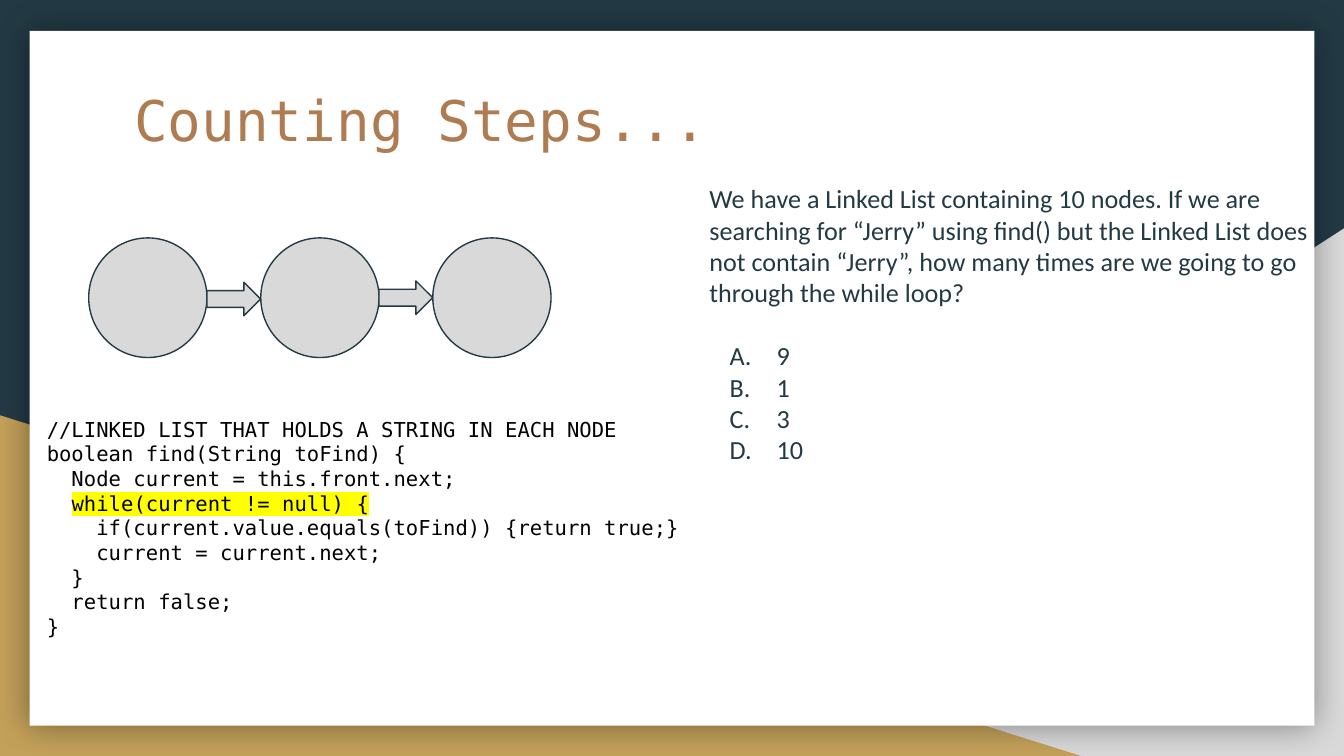
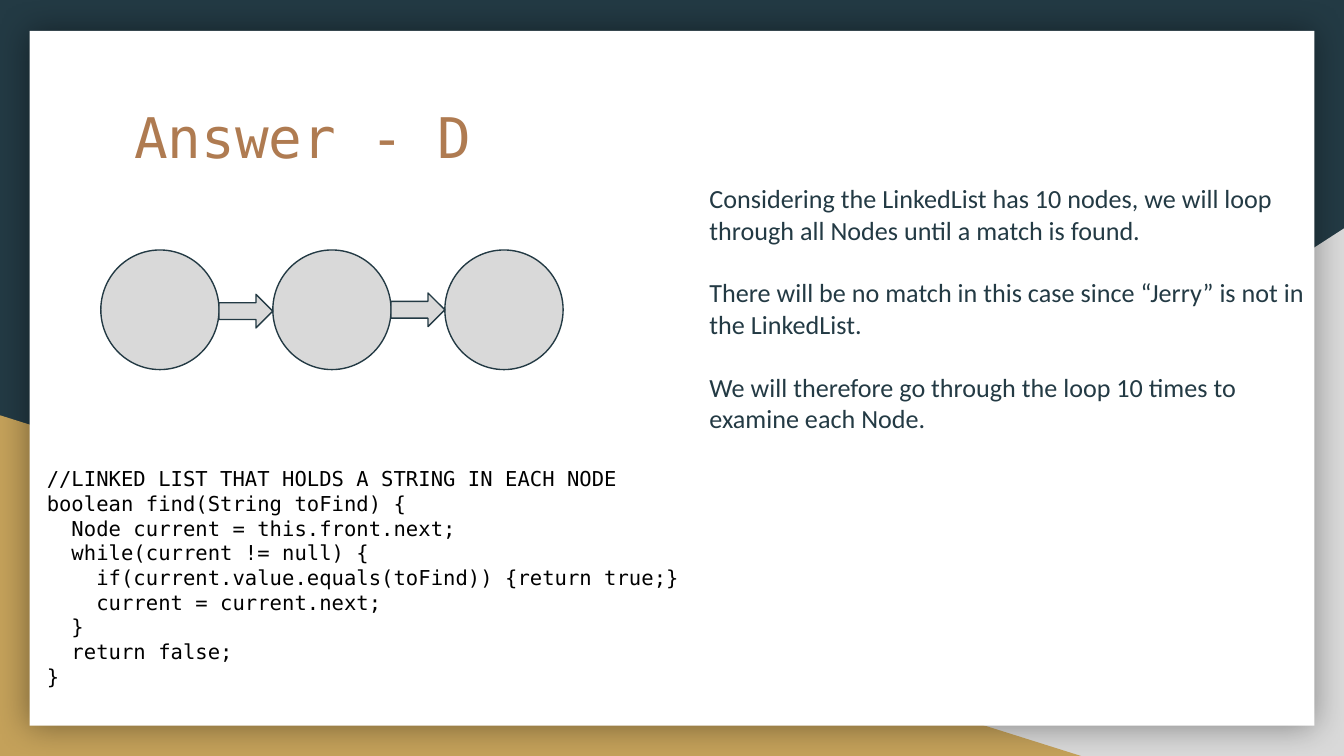
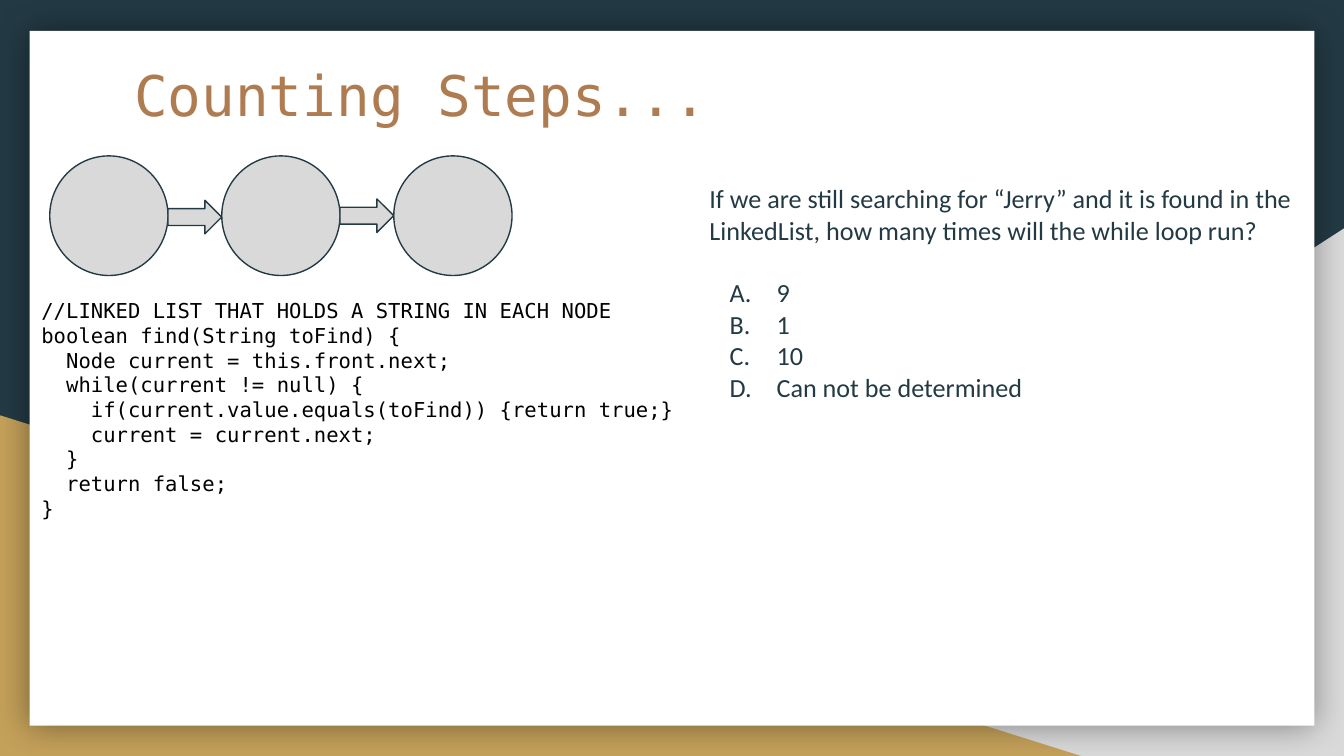
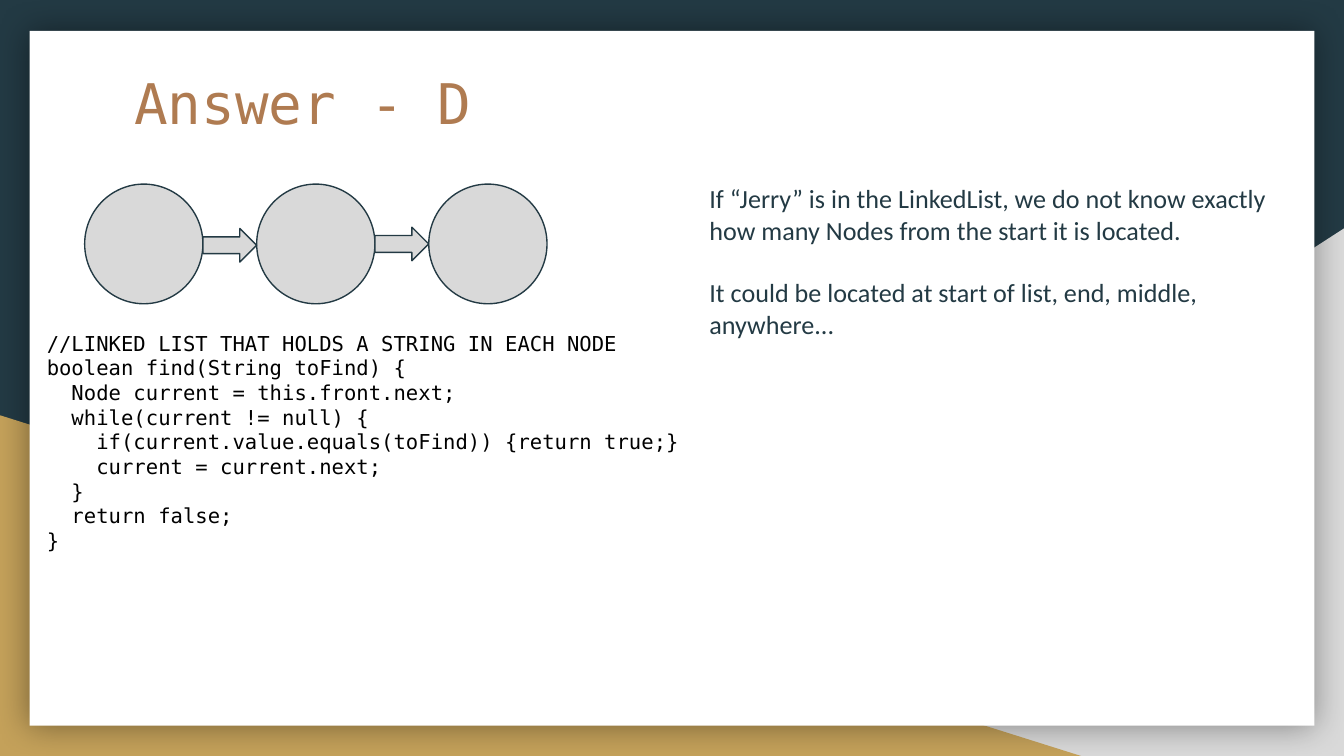
"""Build four slides on counting the steps of a linked list search."""
import dataclasses

import lxml.etree
import pptx
import pptx.dml.color
import pptx.enum.shapes
import pptx.oxml.ns
import pptx.util

Inches = pptx.util.Inches
Pt = pptx.util.Pt
qn = pptx.oxml.ns.qn
SHAPE = pptx.enum.shapes.MSO_SHAPE


@dataclasses.dataclass(frozen=True)
class Theme:
    navy: str = "233A44"
    gold: str = "C4A15A"
    grey: str = "D9D9D9"
    white: str = "FFFFFF"
    black: str = "000000"
    copper: str = "AF7B51"
    yellow: str = "FFFF00"
    mono: str = "DejaVu Sans Mono"
    sans: str = "Calibri"
    title_size: float = 30
    code_size: float = 11
    body_size: float = 14
    leading: float = 1.2


theme = Theme()


def add_shape(page, kind, left, top, width, height, fill, line=None):
    shape = page.shapes.add_shape(kind, Inches(left), Inches(top), Inches(width), Inches(height))
    shape.shadow.inherit = False
    shape.fill.solid()
    shape.fill.fore_color.rgb = pptx.dml.color.RGBColor.from_string(fill)
    if line:
        shape.line.color.rgb = pptx.dml.color.RGBColor.from_string(line)
        shape.line.width = Pt(0.75)
    else:
        shape.line.fill.background()
    return shape


def add_text(page, text, *, at, size, font, color, gap=0, choices=(), marked=None):
    box = page.shapes.add_textbox(*[Inches(length) for length in at])
    frame = box.text_frame
    frame.word_wrap = True
    frame.margin_left = frame.margin_right = Inches(0.1)
    frame.margin_top = frame.margin_bottom = Inches(0.1)
    lines = text.split("\n")
    for index, line in enumerate([*lines, *choices]):
        para = frame.paragraphs[0] if index == 0 else frame.add_paragraph()
        para.line_spacing = Pt(size * theme.leading)
        if 0 < index <= len(lines):
            para.space_before = Pt(gap)
        if index >= len(lines):
            props = para._p.get_or_add_pPr()
            props.set("marL", str(Inches(0.5)))
            props.set("indent", str(Inches(-0.35)))
            bullet_color = lxml.etree.SubElement(props, qn("a:buClr"))
            lxml.etree.SubElement(bullet_color, qn("a:srgbClr"), val=color)
            lxml.etree.SubElement(props, qn("a:buAutoNum"), type="alphaUcPeriod")
        is_marked = marked is not None and line.strip() == marked
        pieces = [line[:-len(marked)], marked] if is_marked else [line]
        for piece in pieces:
            span = para.add_run()
            span.text = piece
            span.font.size = Pt(size)
            span.font.color.rgb = pptx.dml.color.RGBColor.from_string(color)
            span.font.name = font
            if piece == marked:
                highlight = lxml.etree.Element(qn("a:highlight"))
                lxml.etree.SubElement(highlight, qn("a:srgbClr"), val=theme.yellow)
                span._r.rPr.find(qn("a:latin")).addprevious(highlight)
    return box


FIND_CODE = """//LINKED LIST THAT HOLDS A STRING IN EACH NODE
boolean find(String toFind) {
  Node current = this.front.next;
  while(current != null) {
    if(current.value.equals(toFind)) {return true;}
    current = current.next;
  }
  return false;
}"""

NODE_WIDTH, NODE_HEIGHT, NODE_PITCH = 0.88, 0.89, 1.28
ARROW_DROPS = (0.33, 0.32)

SLIDES = [
    dict(
        title="Counting Steps...", title_top=0.54, code_at=(0.25, 3, 4.97, 2.05), nodes_at=(0.66, 1.77),
        marked="while(current != null) {",
        body="We have a Linked List containing 10 nodes. If we are searching for “Jerry” using find() "
             "but the Linked List does not contain “Jerry”, how many times are we going to go "
             "through the while loop?",
        choices=("9", "1", "3", "10"),
    ),
    dict(
        title="Answer - D", title_top=0.66, code_at=(0.25, 3.37, 4.97, 2.02), nodes_at=(0.75, 1.86),
        body="Considering the LinkedList has 10 nodes, we will loop through all Nodes until a match is found.\n"
             "There will be no match in this case since “Jerry” is not in the LinkedList.\n"
             "We will therefore go through the loop 10 times to examine each Node.",
    ),
    dict(
        title="Counting Steps...", title_top=0.35, code_at=(0.21, 2.12, 4.97, 2.87), nodes_at=(0.37, 1.16),
        body="If we are still searching for “Jerry” and it is found in the LinkedList, "
             "how many times will the while loop run?",
        choices=("9", "1", "10", "Can not be determined"),
    ),
    dict(
        title="Answer - D", title_top=0.41, code_at=(0.25, 2.36, 4.97, 2.87), nodes_at=(0.63, 1.37),
        body="If “Jerry” is in the LinkedList, we do not know exactly how many Nodes from the start it is located.\n"
             "It could be located at start of list, end, middle, anywhere...",
    ),
]

deck = pptx.Presentation()
deck.slide_width = Inches(10)
deck.slide_height = deck.slide_width * 9 // 16

for content in SLIDES:
    page = deck.slides.add_slide(deck.slide_layouts[6])
    page.background.fill.solid()
    page.background.fill.fore_color.rgb = pptx.dml.color.RGBColor.from_string(theme.navy)

    grey_corner = add_shape(page, SHAPE.RIGHT_TRIANGLE, 3.92, 1.7, 6.08, 3.93, theme.grey)
    grey_corner._element.spPr.xfrm.set("flipH", "1")
    add_shape(page, SHAPE.RIGHT_TRIANGLE, 0, 3.09, 8.06, 2.54, theme.gold)
    card = add_shape(page, SHAPE.RECTANGLE, 0.22, 0.23, 9.56, 5.17, theme.white)
    effects = card._element.spPr.find(qn("a:effectLst"))
    shadow = lxml.etree.SubElement(effects, qn("a:outerShdw"), blurRad=str(Pt(18)), dist="0", dir="0",
                                   algn="ctr", rotWithShape="0")
    shadow_color = lxml.etree.SubElement(shadow, qn("a:srgbClr"), val=theme.black)
    lxml.etree.SubElement(shadow_color, qn("a:alpha"), val="40000")

    add_text(page, content["title"], at=(0.9, content["title_top"], 8.21, 1.04),
             size=theme.title_size, font=theme.mono, color=theme.copper)
    add_text(page, FIND_CODE, at=content["code_at"], size=theme.code_size, font=theme.mono,
             color=theme.black, marked=content.get("marked"))
    add_text(page, content["body"], at=(5.18, 1.26, 4.68, 3.74), size=theme.body_size, font=theme.sans,
             color=theme.navy, gap=theme.body_size * theme.leading, choices=content.get("choices", ()))

    left, top = content["nodes_at"]
    for index in range(3):
        add_shape(page, SHAPE.OVAL, left + index * NODE_PITCH, top, NODE_WIDTH, NODE_HEIGHT,
                  theme.grey, theme.navy)
    for index, drop in enumerate(ARROW_DROPS):
        add_shape(page, SHAPE.RIGHT_ARROW, left + NODE_WIDTH + index * NODE_PITCH, top + drop,
                  NODE_PITCH - NODE_WIDTH, 0.25, theme.grey, theme.navy)

deck.save("out.pptx")
